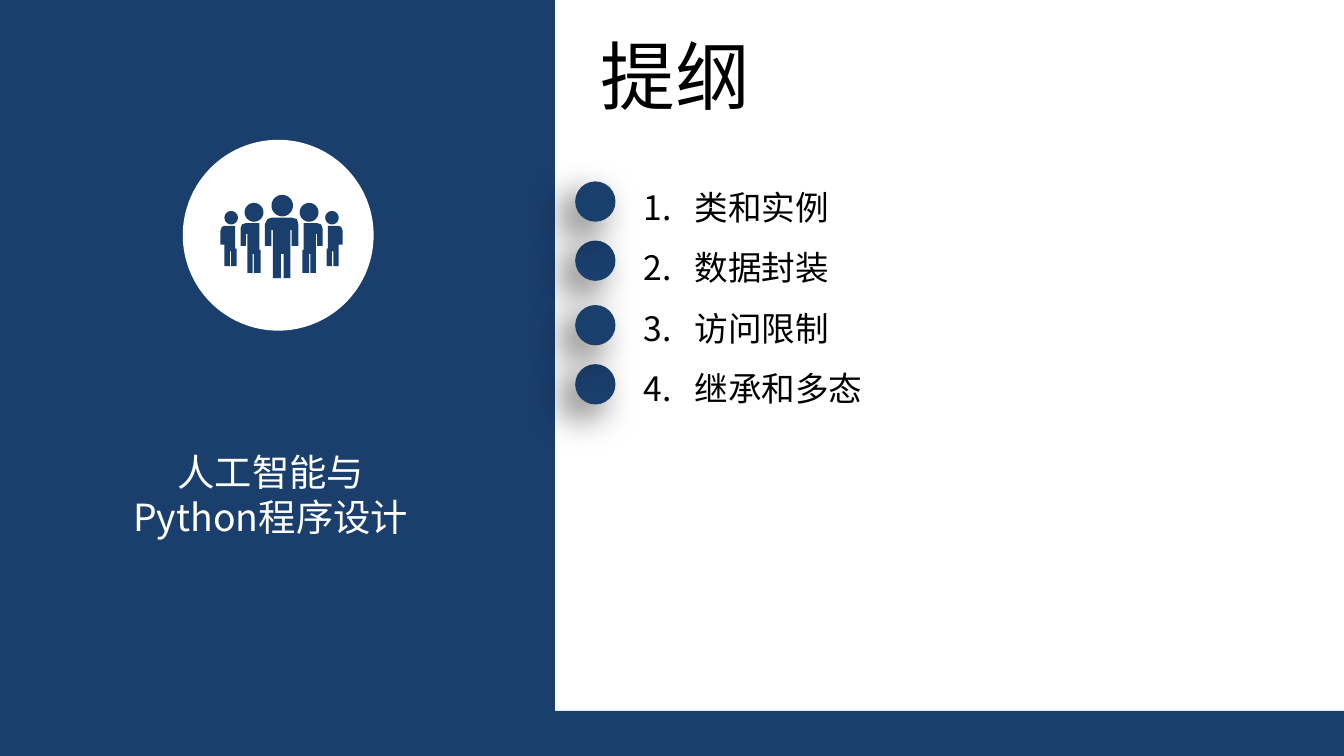
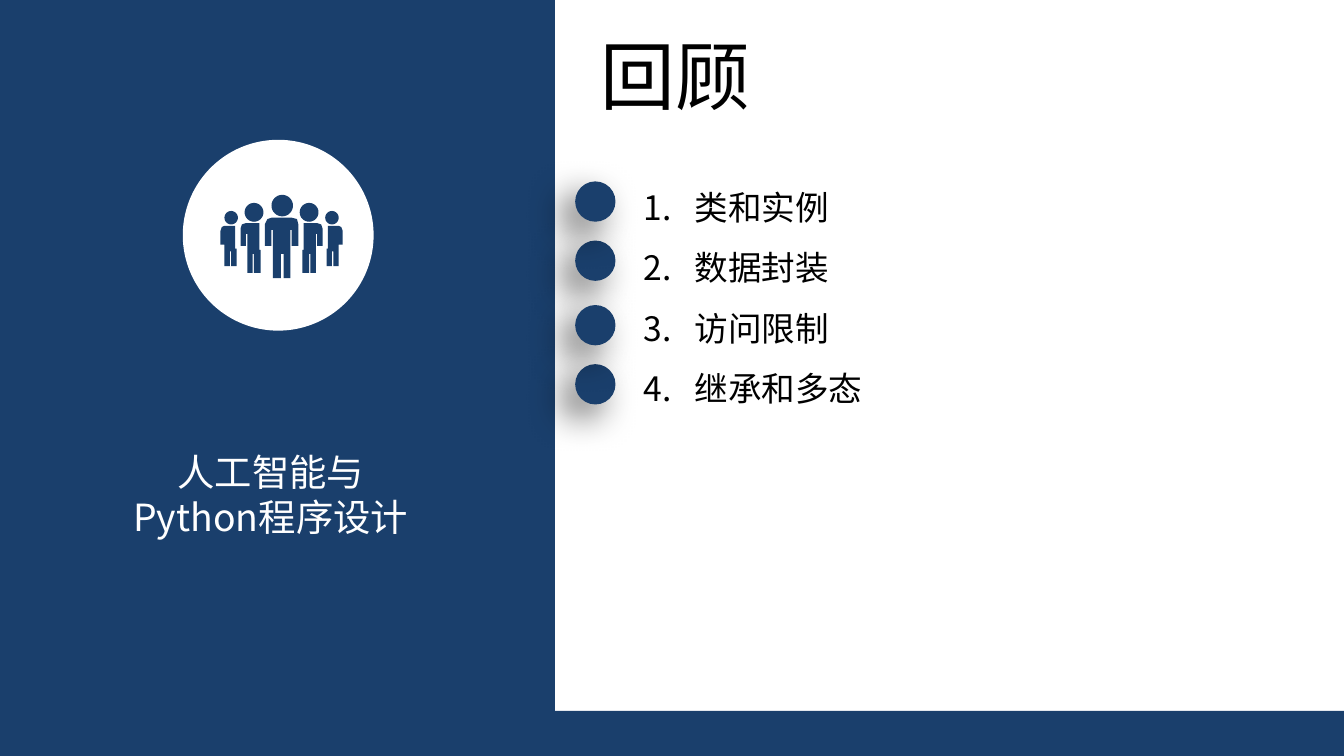
import math
from typing import NamedTuple

import lxml.etree
import pptx
import pptx.dml.color
import pptx.enum.shapes
import pptx.enum.text
import pptx.oxml.ns
import pptx.util
from pptx.util import Inches

NAVY = pptx.dml.color.RGBColor(0x1A, 0x3F, 0x6C)
WHITE = pptx.dml.color.RGBColor(0xFF, 0xFF, 0xFF)
BLACK = pptx.dml.color.RGBColor(0x00, 0x00, 0x00)
FONT = "Noto Sans CJK SC"

SLIDE_WIDTH = Inches(10)
SLIDE_HEIGHT = SLIDE_WIDTH * 9 // 16

RECTANGLE = pptx.enum.shapes.MSO_SHAPE.RECTANGLE
OVAL = pptx.enum.shapes.MSO_SHAPE.OVAL

TITLES = ["提纲", "回顾"]
COURSE = ["人工智能与", "Python程序设计"]
TOPICS = ["类和实例", "数据封装", "访问限制", "继承和多态"]
MARKER_TOPS = [1.79, 2.71, 2.27, 1.35]  # from back to front
HANGING_INDENT = Inches(0.38)

Point = tuple[float, float]


class Box(NamedTuple):
    left: float
    top: float
    width: float
    height: float

    def lengths(self) -> list[int]:
        return [Inches(value) for value in self]


class TextStyle(NamedTuple):
    size: int
    color: pptx.dml.color.RGBColor
    align: pptx.enum.text.PP_ALIGN = pptx.enum.text.PP_ALIGN.LEFT
    line_spacing: float = 1.0
    wrap: bool = False
    numbered: bool = False


class Person(NamedTuple):
    """Outline of one standing figure and the circle of its head."""
    body: list[Point]
    head: Point
    radius: float

    def mirrored(self) -> "Person":
        return Person([mirror(point) for point in self.body], mirror(self.head), self.radius)

    def contours(self) -> list[list[Point]]:
        x, y = self.head
        angles = [math.tau * step / 32 for step in range(32)]
        head = [(x + self.radius * math.cos(a), y + self.radius * math.sin(a)) for a in angles]
        return [self.body, head]


def mirror(point: Point) -> Point:
    return 4.19 - point[0], point[1]


TITLE_STYLE = TextStyle(40, BLACK)
COURSE_STYLE = TextStyle(20, WHITE, pptx.enum.text.PP_ALIGN.CENTER, wrap=True)
TOPIC_STYLE = TextStyle(18, BLACK, line_spacing=1.5, numbered=True)

OUTER_PERSON = Person(
    [(1.76, 1.85), (1.76, 1.98), (1.72, 1.98), (1.72, 1.87), (1.71, 1.87), (1.71, 1.98),
     (1.67, 1.98), (1.67, 1.75), (1.67, 1.82), (1.64, 1.82), (1.64, 1.72), (1.65, 1.69),
     (1.67, 1.68), (1.75, 1.68), (1.75, 1.85)],
    (1.72, 1.62), 0.05)
INNER_PERSON = Person(
    [(1.94, 1.86), (1.94, 2.03), (1.89, 2.03), (1.89, 1.89), (1.88, 1.89), (1.88, 2.03),
     (1.84, 2.03), (1.84, 1.74), (1.83, 1.74), (1.83, 1.83), (1.79, 1.83), (1.79, 1.7),
     (1.8, 1.67), (1.83, 1.66), (1.93, 1.66), (1.93, 1.86)],
    (1.89, 1.58), 0.07)
LEADER = Person(
    [(2.17, 1.83), (2.17, 1.71), (2.16, 1.71), (2.16, 2.07), (2.11, 2.07), (2.11, 1.89),
     (2.09, 1.89), (2.09, 2.07), (2.03, 2.07), (2.03, 1.71), (2.02, 1.71), (2.02, 1.83),
     (1.97, 1.83), (1.97, 1.67), (1.99, 1.63), (2.02, 1.62), (2.17, 1.62), (2.21, 1.63),
     (2.22, 1.67), (2.22, 1.83)],
    (2.1, 1.53), 0.08)
TEAM = [LEADER, OUTER_PERSON, OUTER_PERSON.mirrored(), INNER_PERSON, INNER_PERSON.mirrored()]


def paint(shape, color: pptx.dml.color.RGBColor) -> None:
    shape.fill.solid()
    shape.fill.fore_color.rgb = color
    shape.line.fill.background()
    shape.shadow.inherit = False


def add_filled(shapes, kind, box: Box, color: pptx.dml.color.RGBColor):
    shape = shapes.add_shape(kind, *box.lengths())
    paint(shape, color)
    return shape


def add_child(parent, tag: str, **attributes: str):
    return lxml.etree.SubElement(parent, pptx.oxml.ns.qn(tag), attributes)


def add_text(slide, box: Box, lines: list[str], style: TextStyle):
    frame = slide.shapes.add_textbox(*box.lengths()).text_frame
    frame.text = "\n".join(lines)
    frame.word_wrap = style.wrap
    frame.auto_size = pptx.enum.text.MSO_AUTO_SIZE.SHAPE_TO_FIT_TEXT
    for paragraph in frame.paragraphs:
        paragraph.alignment = style.align
        paragraph.line_spacing = style.line_spacing
        if style.numbered:
            number_paragraph(paragraph)
        for run in paragraph.runs:
            run.font.size = pptx.util.Pt(style.size)
            run.font.color.rgb = style.color
            run.font.name = FONT
            add_child(run.font._element, "a:ea", typeface=FONT)
    return frame


def number_paragraph(paragraph) -> None:
    properties = paragraph._p.get_or_add_pPr()
    properties.set("marL", str(HANGING_INDENT))
    properties.set("indent", str(-HANGING_INDENT))
    add_child(properties, "a:buFontTx")
    add_child(properties, "a:buAutoNum", type="arabicPeriod")


def add_team_badge(slide) -> None:
    badge = slide.shapes.add_group_shape()
    add_filled(badge.shapes, OVAL, Box(1.36, 1.04, 1.42, 1.42), WHITE)
    contours = [contour for person in TEAM for contour in person.contours()]
    builder = None
    for contour in contours:
        start, *rest = [(Inches(x), Inches(y)) for x, y in contour]
        if builder is None:
            builder = badge.shapes.build_freeform(*start)
        else:
            builder.move_to(*start)
        builder.add_line_segments(rest, close=True)
    paint(builder.convert_to_shape(), NAVY)


def add_marker(slide, top: float) -> None:
    """Draw a round topic marker with a soft shadow to its lower left."""
    marker = add_filled(slide.shapes, OVAL, Box(4.28, top, 0.3, 0.3), NAVY)
    effects = marker._element.spPr.find(pptx.oxml.ns.qn("a:effectLst"))
    shadow = add_child(effects, "a:outerShdw", blurRad=str(pptx.util.Pt(20)),
                       dist=str(pptx.util.Pt(10)), dir=str(135 * 60000),
                       algn="tr", rotWithShape="0")
    tint = add_child(shadow, "a:srgbClr", val=str(BLACK))
    add_child(tint, "a:alpha", val="60000")


def add_topic_slide(deck, title: str) -> None:
    slide = deck.slides.add_slide(deck.slide_layouts[6])
    add_filled(slide.shapes, RECTANGLE, Box(0, 5.29, 10, 0.34), NAVY)
    add_filled(slide.shapes, RECTANGLE, Box(0, 0, 4.13, 5.62), NAVY)
    add_text(slide, Box(4.37, 0.17, 1.32, 0.77), [title], TITLE_STYLE)
    course = add_text(slide, Box(0.54, 3.34, 2.95, 0.67), COURSE, COURSE_STYLE)
    course.margin_left = course.margin_right = course.margin_top = course.margin_bottom = 0
    add_team_badge(slide)
    add_text(slide, Box(4.69, 1.19, 1.84, 1.87), TOPICS, TOPIC_STYLE)
    for top in MARKER_TOPS:
        add_marker(slide, top)


def main() -> None:
    deck = pptx.Presentation()
    deck.slide_width = SLIDE_WIDTH
    deck.slide_height = SLIDE_HEIGHT
    for title in TITLES:
        add_topic_slide(deck, title)
    deck.save("out.pptx")


if __name__ == "__main__":
    main()
